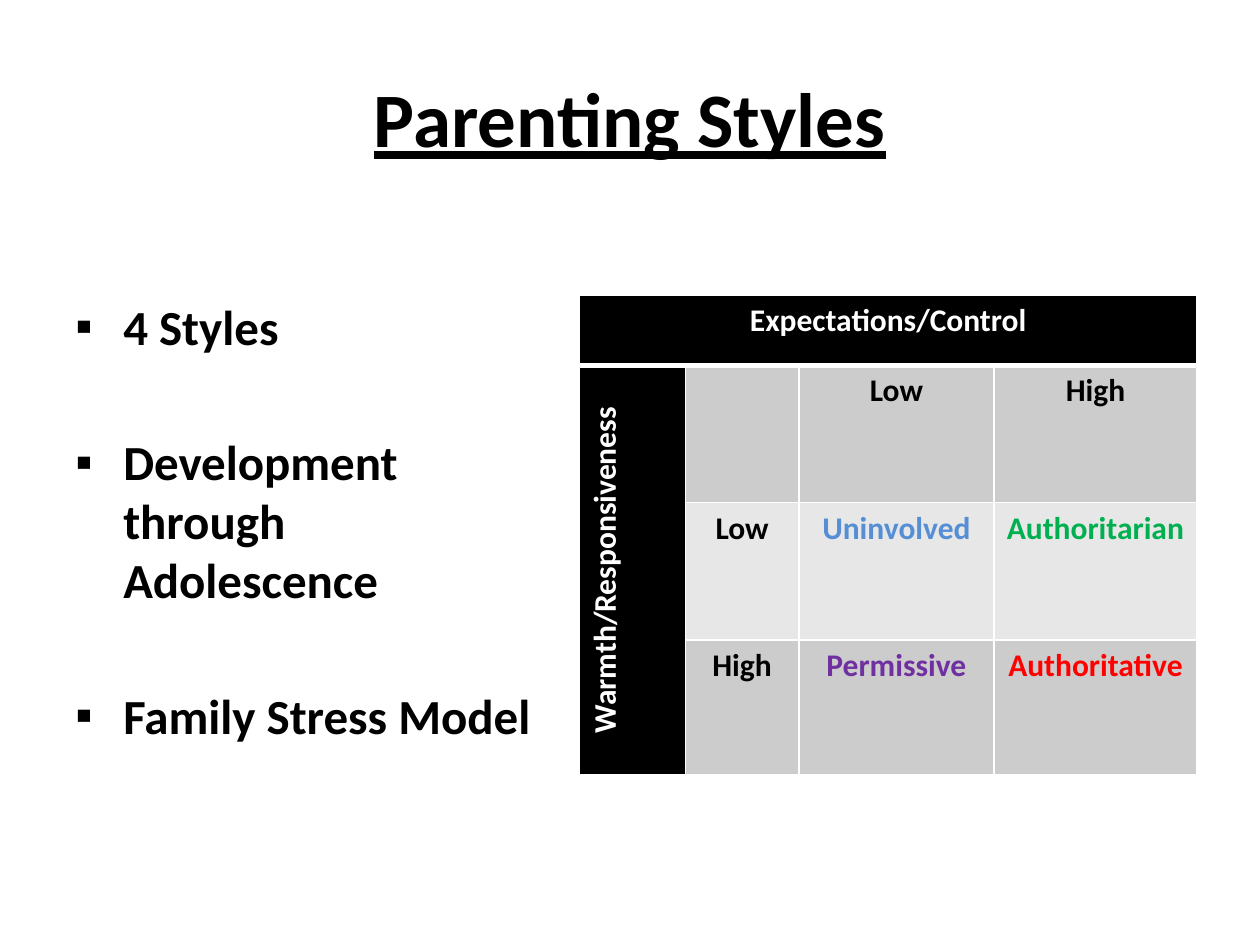
from lxml import etree
from pptx import Presentation
from pptx.dml.color import RGBColor as RGB
from pptx.enum.text import MSO_ANCHOR as ANCHOR, PP_ALIGN as ALIGN
from pptx.oxml.ns import qn
from pptx.util import Inches, Pt

COLORS = {
    "black": "000000", "white": "FFFFFF", "gray": "CCCCCC", "pale": "E7E7E7",
    "blue": "558ED5", "green": "00B050", "purple": "7030A0", "red": "FF0000",
}


class Deck:
    font = "Calibri"
    col, row = 0.5, 0.25  # grid unit in inches: 20 columns by 30 rows

    def __init__(self):
        self.prs = Presentation()
        self.prs.slide_width, self.prs.slide_height = Inches(10), Inches(7.5)
        self.slide = self.prs.slides.add_slide(self.prs.slide_layouts[6])

    def area(self, x, y, w, h):
        return [Inches(n * unit) for n, unit in
                zip((x, y, w, h), (self.col, self.row) * 2)]

    def style(self, p, size, color="black"):
        for r in p.runs:
            r.font.name, r.font.size, r.font.bold = self.font, Pt(size), True
            r.font.color.rgb = RGB.from_string(COLORS[color])

    def text_box(self, area):
        tf = self.slide.shapes.add_textbox(*self.area(*area)).text_frame
        tf.word_wrap = True
        return tf

    def title(self, text, area):
        tf = self.text_box(area)
        tf.text, tf.vertical_anchor = text, ANCHOR.MIDDLE
        p = tf.paragraphs[0]
        p.alignment = ALIGN.CENTER
        self.style(p, 44)
        p.runs[0].font.underline = True

    def bullets(self, items, area, top, gap):
        tf = self.text_box(area)
        tf.margin_top = Inches(top * self.row)
        tf.text = "\n".join(items)
        for i, p in enumerate(tf.paragraphs):
            pPr = p._p.get_or_add_pPr()
            pPr.set("marL", str(Inches(0.38)))
            pPr.set("indent", str(-Inches(0.38)))
            etree.SubElement(pPr, qn("a:buFont"), typeface="Arial")
            etree.SubElement(pPr, qn("a:buChar"), char="▪")
            if i:
                p.space_before = Pt(gap)
            self.style(p, 28)

    def borders(self, cell, top=1, bottom=1):
        tcPr = cell._tc.get_or_add_tcPr()
        sides = (("L", 1), ("R", 1), ("T", top), ("B", bottom))
        for i, (side, width) in enumerate(sides):
            ln = etree.Element(qn(f"a:ln{side}"), w=str(Pt(width)))
            fill = etree.SubElement(ln, qn("a:solidFill"))
            etree.SubElement(fill, qn("a:srgbClr"), val=COLORS["white"])
            tcPr.insert(i, ln)

    def cell(self, cell, text, fill, color="black"):
        cell.fill.solid()
        cell.fill.fore_color.rgb = RGB.from_string(COLORS[fill])
        cell.text = text
        p = cell.text_frame.paragraphs[0]
        p.alignment = ALIGN.CENTER
        self.style(p, 18, color)

    def table(self, area, widths, heights):
        table = self.slide.shapes.add_table(
            len(heights), len(widths), *self.area(*area)).table
        for column, width in zip(table.columns, widths):
            column.width = Inches(width * self.col)
        for row, height in zip(table.rows, heights):
            row.height = Inches(height * self.row)
        for i, row in enumerate(table.rows):
            for cell in row.cells:
                self.borders(cell, 3 if i == 1 else 1, 3 if i == 0 else 1)
        return table


def main():
    deck = Deck()
    deck.title("Parenting Styles", (1, 1.2, 18, 5))
    deck.bullets(["4 Styles", "Development through Adolescence", "Family Stress Model"],
                 (1, 7, 7.7, 19.8), top=2.4, gap=44)

    # Matrix of warmth against control
    table = deck.table((9.2, 9.36, 9.8, 15.24),
                       (1.68, 1.8, 3.1, 3.22), (2.24, 4.36, 4.36, 4.28))

    # Axis headings
    table.cell(0, 0).merge(table.cell(0, 3))
    table.cell(1, 0).merge(table.cell(3, 0))
    deck.cell(table.cell(0, 0), "Expectations/Control", "black", "white")
    deck.cell(table.cell(1, 0), "Warmth/Responsiveness", "black", "white")
    table.cell(1, 0)._tc.get_or_add_tcPr().set("vert", "vert270")

    # Levels and the four styles
    rows = [
        ("gray", [("", "black"), ("Low", "black"), ("High", "black")]),
        ("pale", [("Low", "black"), ("Uninvolved", "blue"), ("Authoritarian", "green")]),
        ("gray", [("High", "black"), ("Permissive", "purple"), ("Authoritative", "red")]),
    ]
    for i, (fill, cells) in enumerate(rows, 1):
        for j, (text, color) in enumerate(cells, 1):
            deck.cell(table.cell(i, j), text, fill, color)

    deck.prs.save("out.pptx")


if __name__ == "__main__":
    main()
